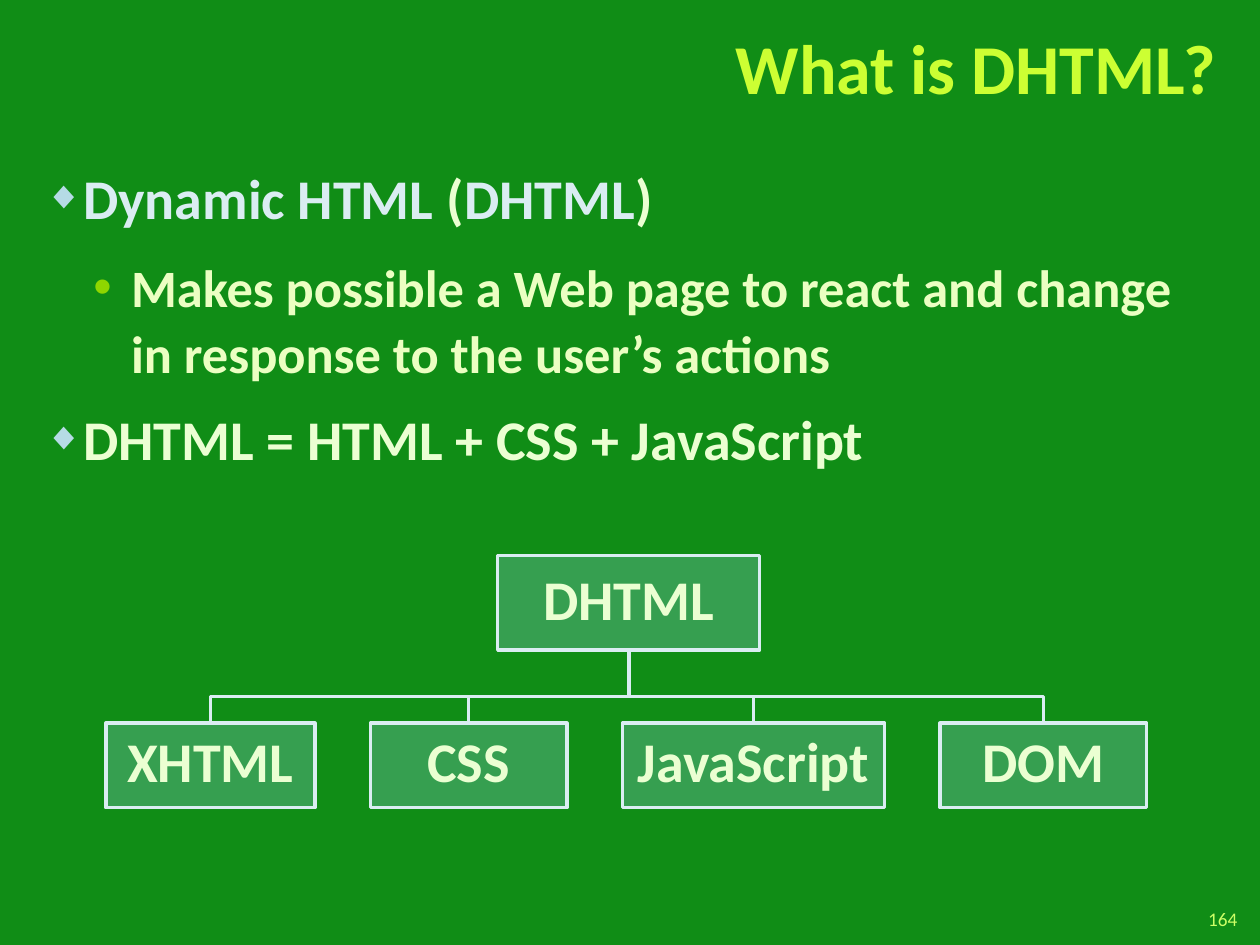
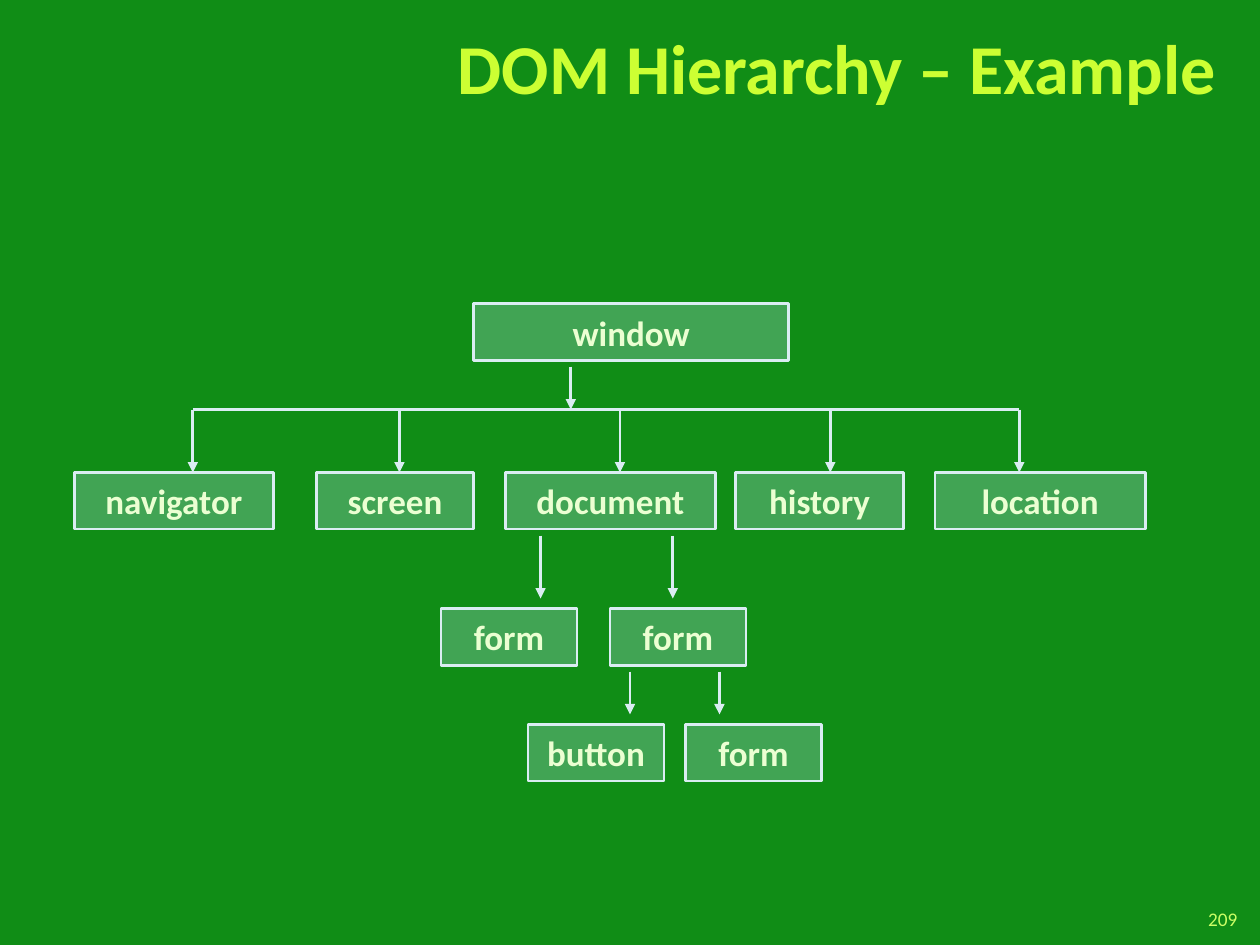
from dataclasses import dataclass

from lxml import etree
from pptx import Presentation
from pptx.dml.color import RGBColor
from pptx.enum.shapes import MSO_CONNECTOR, MSO_SHAPE
from pptx.enum.text import MSO_ANCHOR, MSO_AUTO_SIZE, PP_ALIGN
from pptx.oxml.ns import qn
from pptx.util import Inches, Pt

RECTANGLE = MSO_SHAPE.RECTANGLE
STRAIGHT = MSO_CONNECTOR.STRAIGHT
MIDDLE, TOP = MSO_ANCHOR.MIDDLE, MSO_ANCHOR.TOP
LEFT, CENTER, RIGHT = PP_ALIGN.LEFT, PP_ALIGN.CENTER, PP_ALIGN.RIGHT
NO_AUTOFIT = MSO_AUTO_SIZE.NONE


@dataclass(frozen=True)
class Theme:
    font: str = "Calibri"
    background: str = "108D16"
    title: str = "CCFF33"
    page: str = "CCFF66"
    text: str = "EBFFD2"
    detail: str = "EBFFC2"
    accent: str = "DAEDF2"
    diamond: str = "B5DBE5"
    dot: str = "8FD600"
    part_fill: str = "90CAD7"
    node_fill: str = "B5DBE5"
    box_opacity: int = 30
    title_size: int = 40
    body_size: int = 32
    detail_size: int = 30
    node_size: int = 20
    page_size: int = 11
    body_leading: int = 38
    part_line: float = 2
    node_line: float = 1.5


THEME = Theme()

DEFINITION = {
    "title": "What is DHTML?",
    "page": "164",
    "points": [
        (0, [("Dynamic HTML", THEME.accent), (" (", THEME.text),
             ("DHTML", THEME.accent), (")", THEME.text)]),
        (1, [("Makes possible a Web page to react and change in response "
              "to the user’s actions", THEME.detail)]),
        (0, [("DHTML = HTML + CSS + JavaScript", THEME.text)]),
    ],
    "whole": ("DHTML", 2.08),
    "parts": [("XHTML", 1.66), ("CSS", 1.56), ("JavaScript", 2.08), ("DOM", 1.64)],
}

HIERARCHY = {
    "title": "DOM Hierarchy – Example",
    "page": "209",
    "levels": [
        (2.41, [("window", 3.76, 2.5)], [4.53]),
        (3.75, [("navigator", 0.59, 1.58), ("screen", 2.51, 1.25),
                ("document", 4.01, 1.67), ("history", 5.84, 1.33),
                ("location", 7.42, 1.67)], [4.29, 5.34]),
        (4.83, [("form", 3.5, 1.08), ("form", 4.84, 1.08)], [5, 5.71]),
        (5.75, [("button", 4.19, 1.08), ("form", 5.44, 1.08)], []),
    ],
    "bus_drops": [1.53, 3.17, 4.92, 6.59, 8.09],
}

BULLETS = {
    0: dict(mark="◆", color=THEME.diamond, percent=70, left=0.31, hang=0.31,
            size=THEME.body_size),
    1: dict(mark="•", color=THEME.dot, percent=100, left=0.69, hang=0.3,
            size=THEME.detail_size),
}

WHOLE_TOP, WHOLE_HEIGHT, WHOLE_CENTER = 4.41, 0.75, 4.99
PARTS_TOP, PARTS_HEIGHT, PARTS_LEFT, PARTS_GAP = 5.74, 0.67, 0.84, 0.44
BRANCH_Y = 5.53
NODE_HEIGHT, BUS_Y = 0.45, 3.25
ARROW_START_GAP, ARROW_END_GAP = 0.05, 0.08


def rgb(color):
    return RGBColor.from_string(color)


def place(shape, left, top, width, height):
    shape.left, shape.top = Inches(left), Inches(top)
    shape.width, shape.height = Inches(width), Inches(height)


def style_run(run, size, color, bold=True):
    run.font.name = THEME.font
    run.font.size = Pt(size)
    run.font.bold = bold
    run.font.color.rgb = rgb(color)


def write_line(frame, text, size, color, align, bold=True):
    frame.text = text
    frame.word_wrap = True
    frame.auto_size = NO_AUTOFIT
    frame.vertical_anchor = MIDDLE
    line = frame.paragraphs[0]
    line.alignment = align
    style_run(line.runs[0], size, color, bold)
    return line


def set_margins(frame, side, upright):
    frame.margin_left = frame.margin_right = Inches(side)
    frame.margin_top = frame.margin_bottom = Inches(upright)


def set_outline(line, width):
    line.color.rgb = rgb(THEME.accent)
    line.width = Pt(width)


def add_box(slide, text, bounds, fill, line_width, size, margins):
    box = slide.shapes.add_shape(RECTANGLE, *map(Inches, bounds))
    box.shadow.inherit = False
    box.fill.solid()
    box.fill.fore_color.rgb = rgb(fill)
    tint = box.fill._xPr.find(qn("a:solidFill"))[0]
    etree.SubElement(tint, qn("a:alpha"), val=str(THEME.box_opacity * 1000))
    set_outline(box.line, line_width)
    set_margins(box.text_frame, *margins)
    return write_line(box.text_frame, text, size, THEME.text, CENTER)


def add_part(slide, text, *bounds):
    label = add_box(slide, text, bounds, THEME.part_fill, THEME.part_line,
                    THEME.body_size, (0.02, 0.02))
    label.line_spacing = 0.85


def add_node(slide, text, *bounds):
    add_box(slide, text, bounds, THEME.node_fill, THEME.node_line,
            THEME.node_size, (0.1, 0.05))


def add_branch(slide, part_center):
    start = (WHOLE_CENTER, WHOLE_TOP + WHOLE_HEIGHT)
    bends = [(WHOLE_CENTER, BRANCH_Y), (part_center, BRANCH_Y), (part_center, PARTS_TOP)]
    builder = slide.shapes.build_freeform(*map(Inches, start), scale=1.0)
    builder.add_line_segments([(Inches(x), Inches(y)) for x, y in bends], close=False)
    branch = builder.convert_to_shape()
    branch.shadow.inherit = False
    branch.fill.background()
    set_outline(branch.line, THEME.part_line)


def add_link(slide, x1, y1, x2, y2, arrow=True):
    link = slide.shapes.add_connector(STRAIGHT, *map(Inches, (x1, y1, x2, y2)))
    set_outline(link.line, THEME.node_line)
    if arrow:
        etree.SubElement(link.line._get_or_add_ln(), qn("a:tailEnd"), type="triangle")
    etree.SubElement(link._element.spPr, qn("a:effectLst"))


def add_bullet(paragraph, mark, color, percent, left, hang, **_):
    properties = paragraph._p.get_or_add_pPr()
    properties.set("marL", str(Inches(left)))
    properties.set("indent", str(-Inches(hang)))
    tint = etree.SubElement(properties, qn("a:buClr"))
    etree.SubElement(tint, qn("a:srgbClr"), val=color)
    etree.SubElement(properties, qn("a:buSzPct"), val=str(percent * 1000))
    etree.SubElement(properties, qn("a:buFont"), typeface="Arial")
    etree.SubElement(properties, qn("a:buChar"), char=mark)


def fill_points(body, points):
    place(body, 0.25, 1.25, 9.5, 6.08)
    frame = body.text_frame
    frame.auto_size = NO_AUTOFIT
    frame.vertical_anchor = TOP
    frame.text = "\n".join("".join(text for text, _ in pieces) for _, pieces in points)
    for paragraph, (level, pieces) in zip(frame.paragraphs, points):
        bullet = BULLETS[level]
        paragraph.level = level
        paragraph.alignment = LEFT
        paragraph.line_spacing = Pt(THEME.body_leading)
        paragraph.space_before = paragraph.space_after = Pt(6)
        add_bullet(paragraph, **bullet)
        for _ in pieces[1:]:
            paragraph.add_run()
        for run, (text, color) in zip(paragraph.runs, pieces):
            run.text = text
            style_run(run, bullet["size"], color)


def add_slide(deck, layout, content):
    slide = deck.slides.add_slide(deck.slide_layouts[layout])
    place(slide.shapes.title, 2, 0.08, 7.75, 1)
    heading = write_line(slide.shapes.title.text_frame, content["title"],
                         THEME.title_size, THEME.title, RIGHT)
    heading.line_spacing = Pt(THEME.title_size)
    page = slide.shapes.add_textbox(*map(Inches, (9.42, 7.17, 0.5, 0.25)))
    write_line(page.text_frame, content["page"], THEME.page_size, THEME.page, RIGHT, False)
    return slide


def build_definition(deck):
    slide = add_slide(deck, 1, DEFINITION)
    fill_points(slide.placeholders[1], DEFINITION["points"])
    left, places = PARTS_LEFT, []
    for text, width in DEFINITION["parts"]:
        places.append((text, left, width))
        left += width + PARTS_GAP
    for _, left, width in places:
        add_branch(slide, left + width / 2)
    whole, width = DEFINITION["whole"]
    add_part(slide, whole, WHOLE_CENTER - width / 2, WHOLE_TOP, width, WHOLE_HEIGHT)
    for text, left, width in places:
        add_part(slide, text, left, PARTS_TOP, width, PARTS_HEIGHT)


def build_hierarchy(deck):
    slide = add_slide(deck, 5, HIERARCHY)
    levels, drops = HIERARCHY["levels"], HIERARCHY["bus_drops"]
    arrow_ends = [BUS_Y] + [top - ARROW_END_GAP for top, _, _ in levels[2:]] + [None]
    for (top, nodes, arrows), end in zip(levels, arrow_ends):
        for text, left, width in nodes:
            add_node(slide, text, left, top, width, NODE_HEIGHT)
        for x in arrows:
            add_link(slide, x, top + NODE_HEIGHT + ARROW_START_GAP, x, end)
    add_link(slide, drops[0], BUS_Y, drops[-1], BUS_Y, arrow=False)
    for x in drops:
        add_link(slide, x, BUS_Y, x, levels[1][0])


def main():
    deck = Presentation()
    deck.slide_width, deck.slide_height = Inches(10), Inches(7.5)
    backdrop = deck.slide_master.background.fill
    backdrop.solid()
    backdrop.fore_color.rgb = rgb(THEME.background)
    build_definition(deck)
    build_hierarchy(deck)
    deck.save("out.pptx")


if __name__ == "__main__":
    main()
